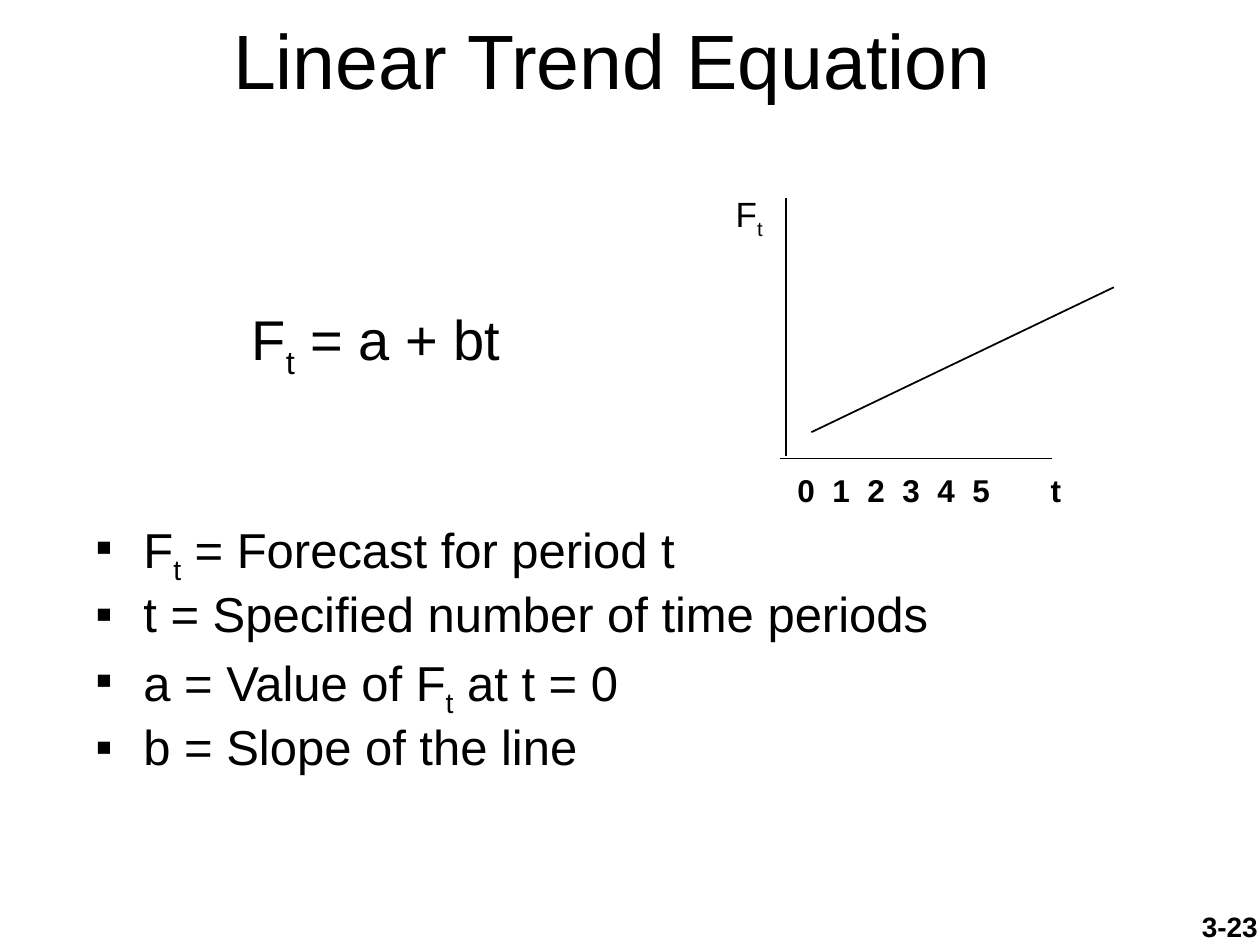
from lxml import etree
from pptx import Presentation
from pptx.dml.color import RGBColor
from pptx.enum.shapes import MSO_CONNECTOR
from pptx.enum.text import MSO_ANCHOR, PP_ALIGN
from pptx.oxml.ns import qn
from pptx.util import Inches, Pt

COLS, ROWS = 100, 75
CELL = Inches(0.1)
BLACK = RGBColor(0, 0, 0)
FONT = "Arial"
STRAIGHT = MSO_CONNECTOR.STRAIGHT
LEFT, CENTER, RIGHT = PP_ALIGN.LEFT, PP_ALIGN.CENTER, PP_ALIGN.RIGHT
TOP, BOTTOM = MSO_ANCHOR.TOP, MSO_ANCHOR.BOTTOM

DEFINITIONS = [
    "F|t| = Forecast for period t",
    "t = Specified number of time periods",
    "a = Value of F|t| at t = 0",
    "b = Slope of the line",
]
PERIODS = ["0", "1", "2", "3", "4", "5"]
PERIOD_STEP = 2.78
T_STOP = 20.1


def cells(*counts):
    """Turn counts of grid cells into lengths."""
    return [round(CELL * n) for n in counts]


def add_child(parent, tag, **attrs):
    """Append a DrawingML element with its attributes."""
    child = etree.SubElement(parent, qn(tag))
    for name, value in attrs.items():
        child.set(name, str(value))
    return child


def fill_paragraph(p, text, size, bold=False):
    """Write text in which every second part between bars is a subscript."""
    for i, part in enumerate(text.split("|")):
        r = p.add_run()
        r.text = part
        r.font.name = FONT
        r.font.size = Pt(size)
        r.font.bold = bold
        r.font.color.rgb = BLACK
        if i % 2:
            r._r.get_or_add_rPr().set("baseline", "-25000")


def add_text(s, box, lines, size, bold=False, align=LEFT, anchor=TOP):
    """Add a text box with one paragraph a line and return its paragraphs."""
    tf = s.shapes.add_textbox(*cells(*box)).text_frame
    tf.word_wrap = True
    tf.vertical_anchor = anchor
    for i, line in enumerate(lines):
        p = tf.add_paragraph() if i else tf.paragraphs[0]
        p.alignment = align
        fill_paragraph(p, line, size, bold)
    return tf.paragraphs


def add_bullet(p):
    """Give a paragraph a square bullet, a hanging indent and spacing."""
    p.line_spacing = 0.9
    pPr = p._p.get_or_add_pPr()
    indent, = cells(3.8)
    pPr.set("marL", str(indent))
    pPr.set("indent", str(-indent))
    add_child(add_child(pPr, "a:spcBef"), "a:spcPct", val=20000)
    add_child(add_child(pPr, "a:buClr"), "a:srgbClr", val=BLACK)
    add_child(pPr, "a:buFont", typeface=FONT)
    add_child(pPr, "a:buChar", char="▪")


def add_tab_stops(p, stops):
    """Set left tab stops given in grid cells."""
    tabs = add_child(p._p.get_or_add_pPr(), "a:tabLst")
    for pos in cells(*stops):
        add_child(tabs, "a:tab", pos=pos, algn="l")


def add_line(s, *ends):
    """Add a thin black line between two grid points."""
    line = s.shapes.add_connector(STRAIGHT, *cells(*ends))
    line.line.color.rgb = BLACK
    line.line.width = Pt(1)
    add_child(line._element.spPr, "a:effectLst")


def add_trend_graph(s):
    """Draw the axes, their labels and the rising trend line."""
    add_line(s, 62.4, 15.7, 62.4, 36.2)
    add_line(s, 61.9, 36.4, 83.5, 36.4)
    add_line(s, 64.4, 34.3, 88.4, 22.8)
    add_text(s, (57.4, 14.8, 6.7, 4.3), ["F|t"], 20)
    axis = "\t".join(PERIODS + ["t"])
    p = add_text(s, (62.3, 36.9, 27, 4), [axis], 18, bold=True)[0]
    add_tab_stops(p, [PERIOD_STEP * i for i in range(1, len(PERIODS))] + [T_STOP])


def main():
    """Build the slide and save it."""
    prs = Presentation()
    prs.slide_width, prs.slide_height = cells(COLS, ROWS)
    s = prs.slides.add_slide(prs.slide_layouts[6])
    add_text(s, (77.5, 71.7, 23.3, 5.2), ["3-23"], 16, bold=True, align=RIGHT)
    add_text(s, (-1.4, 2.7, COLS, 6.1), ["Linear Trend Equation"], 44,
             align=CENTER, anchor=BOTTOM)
    for p in add_text(s, (6.6, 40.8, 78.4, 13.9), DEFINITIONS, 28):
        add_bullet(p)
    add_text(s, (19, 23.7, 29, 6.3), ["F|t| = a + bt"], 32)
    add_trend_graph(s)
    prs.save("out.pptx")


if __name__ == "__main__":
    main()
